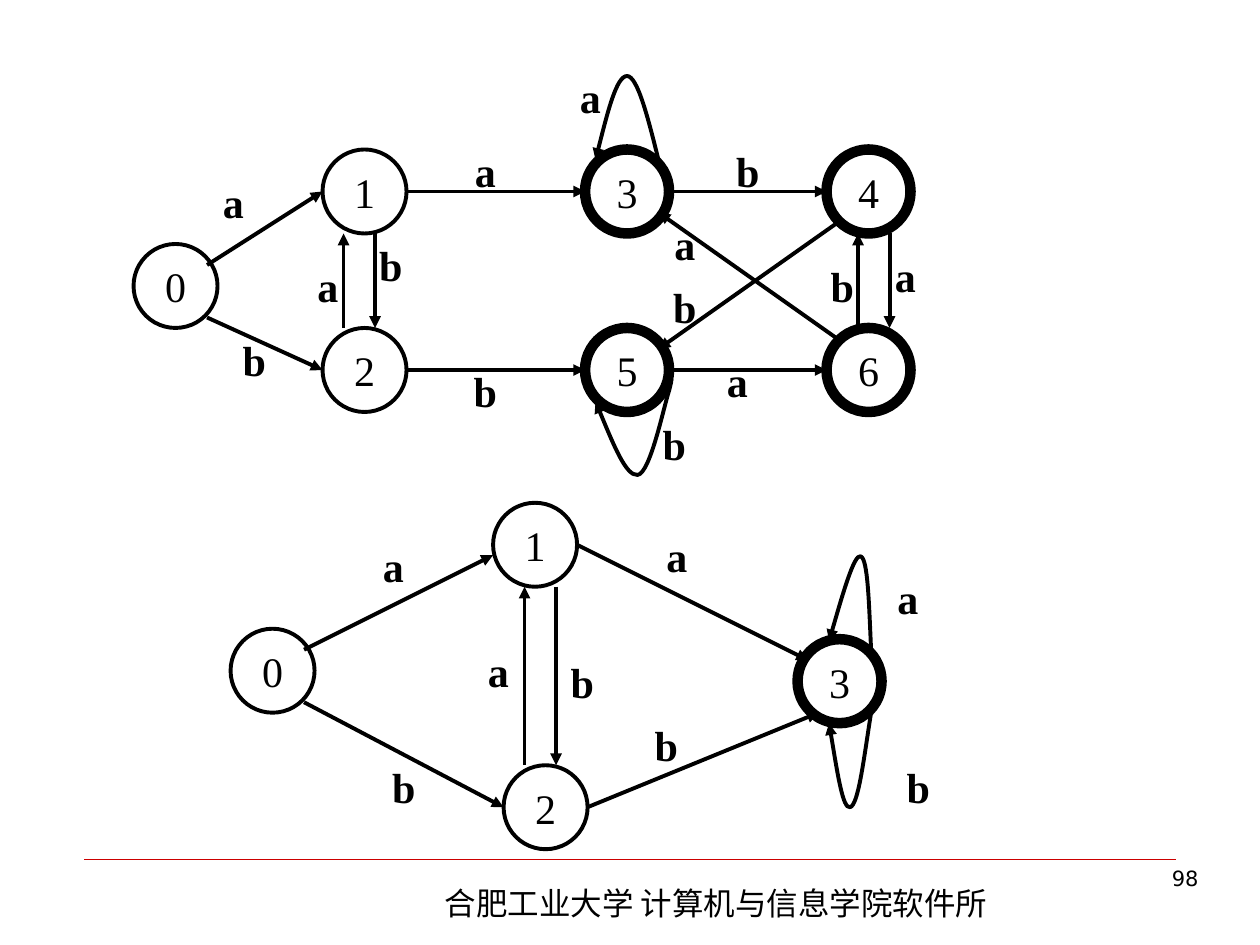
from lxml import etree
from pptx import Presentation
from pptx.dml.color import RGBColor
from pptx.enum.shapes import MSO_CONNECTOR, MSO_SHAPE
from pptx.enum.text import MSO_ANCHOR, PP_ALIGN
from pptx.oxml.ns import qn
from pptx.util import Inches, Pt

STRAIGHT = MSO_CONNECTOR.STRAIGHT
ELLIPSE = MSO_SHAPE.OVAL
MIDDLE, TOP = MSO_ANCHOR.MIDDLE, MSO_ANCHOR.TOP
LEFT, CENTER, RIGHT = PP_ALIGN.LEFT, PP_ALIGN.CENTER, PP_ALIGN.RIGHT
CELLS_PER_INCH = 12
NODE_SIZE = 8
LABEL_SIZE = (7, 6)
THIN, THICK = 2.25, 6
BLACK, RULE_COLOR = "000000", "CC0000"
SERIF, SANS, CHINESE = "Times New Roman", "DejaVu Sans", "Noto Sans CJK SC"

SEVEN_STATES = {
    "origin": (1.06, 0.52),
    "nodes": [("0", 0, 17, THIN), ("1", 18, 8, THIN), ("2", 18, 25, THIN),
              ("3", 43, 8, THICK), ("5", 43, 25, THICK),
              ("4", 66, 8, THICK), ("6", 66, 25, THICK)],
    "edges": [(7, 19, 18, 12), (26, 12, 43, 12), (51, 12, 66, 12),
              (7, 24, 18, 29), (26, 29, 43, 29), (51, 29, 66, 29),
              (23, 16, 23, 25), (20, 25, 20, 16),
              (69, 25, 69, 16), (72, 16, 72, 25),
              (67, 15, 50, 27), (67, 26, 50, 14)],
    "labels": [("a", 6, 10), ("a", 30, 7), ("b", 55, 7), ("b", 8, 25),
               ("b", 30, 28), ("a", 54, 27), ("b", 21, 16), ("a", 15, 18),
               ("a", 70, 17), ("b", 64, 18), ("a", 49, 14), ("b", 49, 20),
               ("a", 40, 0), ("b", 48, 33)],
    "loops": [[(50, 9), (49, 5), (48, 1), (47, 1), (46, 1), (45, 5), (44, 9)],
              [(51, 30), (51.2, 29.8), (51.4, 29.5), (51, 31),
               (50.5, 32.5), (49.2, 38.9), (48, 39),
               (46.9, 39.1), (45.5, 35.6), (44, 32)]],
}

FOUR_STATES = {
    "origin": (1.83, 3.99),
    "nodes": [("0", 0, 12, THIN), ("1", 25, 0, THIN),
              ("2", 26, 25, THIN), ("3", 54, 13, THICK)],
    "edges": [(7, 14, 25, 5), (33, 4, 55, 15), (7, 19, 26, 29),
              (31, 8, 31, 25), (28, 25, 28, 8), (34, 29, 56, 20)],
    "labels": [("a", 12, 3), ("a", 61, 6), ("b", 13, 24), ("b", 62, 24),
               ("b", 30, 14), ("a", 22, 13), ("a", 39, 2), ("b", 38, 20)],
    "loops": [[(61, 14), (60.8, 9.6), (60.7, 5.3), (60, 5.1),
               (59.4, 4.9), (58.2, 9), (57, 13.2)],
              [(61, 20), (60.3, 24.4), (59.8, 28.8), (59, 29),
               (58.3, 29.2), (57.7, 25.1), (57, 21)]],
}


def color(value):
    return RGBColor.from_string(value)


def cells(count):
    return Inches(count / CELLS_PER_INCH)


def locate(origin, column, row):
    return Inches(origin[0]) + cells(column), Inches(origin[1]) + cells(row)


def write(shape, text, size, font, align=CENTER, anchor=MIDDLE, bold=False, wrap=False):
    frame = shape.text_frame
    frame.text = text
    frame.word_wrap = wrap
    frame.vertical_anchor = anchor
    para = frame.paragraphs[0]
    para.alignment = align
    span = para.runs[0]
    span.font.size = Pt(size)
    span.font.name = font
    span.font.bold = bold
    span.font.color.rgb = color(BLACK)
    east_asian = etree.SubElement(span.font._element, qn("a:ea"))
    east_asian.set("typeface", font)


def stroke(shape, width, hue=BLACK, arrow=False):
    shape.line.color.rgb = color(hue)
    shape.line.width = Pt(width)
    if arrow:
        head = etree.SubElement(shape.line._get_or_add_ln(), qn("a:tailEnd"))
        head.set("type", "triangle")


def add_line(shapes, start, end, width, hue=BLACK, arrow=False):
    line = shapes.add_connector(STRAIGHT, *start, *end)
    stroke(line, width, hue, arrow)
    etree.SubElement(line._element.spPr, qn("a:effectLst"))


def add_node(shapes, origin, name, column, row, width):
    node = shapes.add_shape(ELLIPSE, *locate(origin, column, row),
                            cells(NODE_SIZE), cells(NODE_SIZE))
    node.shadow.inherit = False
    node.fill.background()
    stroke(node, width)
    write(node, name, 24, SERIF)


def add_label(shapes, origin, text, column, row):
    box = shapes.add_textbox(*locate(origin, column, row),
                             *[cells(side) for side in LABEL_SIZE])
    write(box, text, 24, SERIF, bold=True)


def add_loop(shapes, origin, points):
    start, *rest = [locate(origin, *point) for point in points]
    builder = shapes.build_freeform(*start)
    builder.add_line_segments(rest, close=False)
    loop = builder.convert_to_shape()
    outline = loop._element.find(".//" + qn("a:path"))
    segments = outline.findall(qn("a:lnTo"))
    for first in range(0, len(segments), 3):
        curve = etree.SubElement(outline, qn("a:cubicBezTo"))
        for segment in segments[first:first + 3]:
            curve.append(segment[0])
            outline.remove(segment)
    loop.shadow.inherit = False
    loop.fill.background()
    stroke(loop, THIN, arrow=True)


def add_automaton(page, automaton):
    shapes = page.shapes.add_group_shape().shapes
    origin = automaton["origin"]
    for node in automaton["nodes"]:
        add_node(shapes, origin, *node)
    for edge in automaton["edges"]:
        add_line(shapes, locate(origin, *edge[:2]), locate(origin, *edge[2:]),
                 THIN, arrow=True)
    for label in automaton["labels"]:
        add_label(shapes, origin, *label)
    for loop in automaton["loops"]:
        add_loop(shapes, origin, loop)


def add_footer(page):
    rule_top = Inches(6.82)
    add_line(page.shapes, (Inches(0.67), rule_top), (Inches(9.33), rule_top),
             0.25, RULE_COLOR)
    school = page.shapes.add_textbox(Inches(3.43), Inches(6.97), Inches(4.72), Inches(0.4))
    write(school, "合肥工业大学 计算机与信息学院软件所", 18, CHINESE, LEFT, TOP, wrap=True)
    number = page.shapes.add_textbox(Inches(7.44), rule_top, Inches(2.17), Inches(0.52))
    write(number, "98", 12, SANS, RIGHT, TOP, wrap=True)


def main():
    deck = Presentation()
    deck.slide_width, deck.slide_height = Inches(10), Inches(7.5)
    page = deck.slides.add_slide(deck.slide_layouts[6])
    add_footer(page)
    for automaton in (SEVEN_STATES, FOUR_STATES):
        add_automaton(page, automaton)
    deck.save("out.pptx")


if __name__ == "__main__":
    main()
